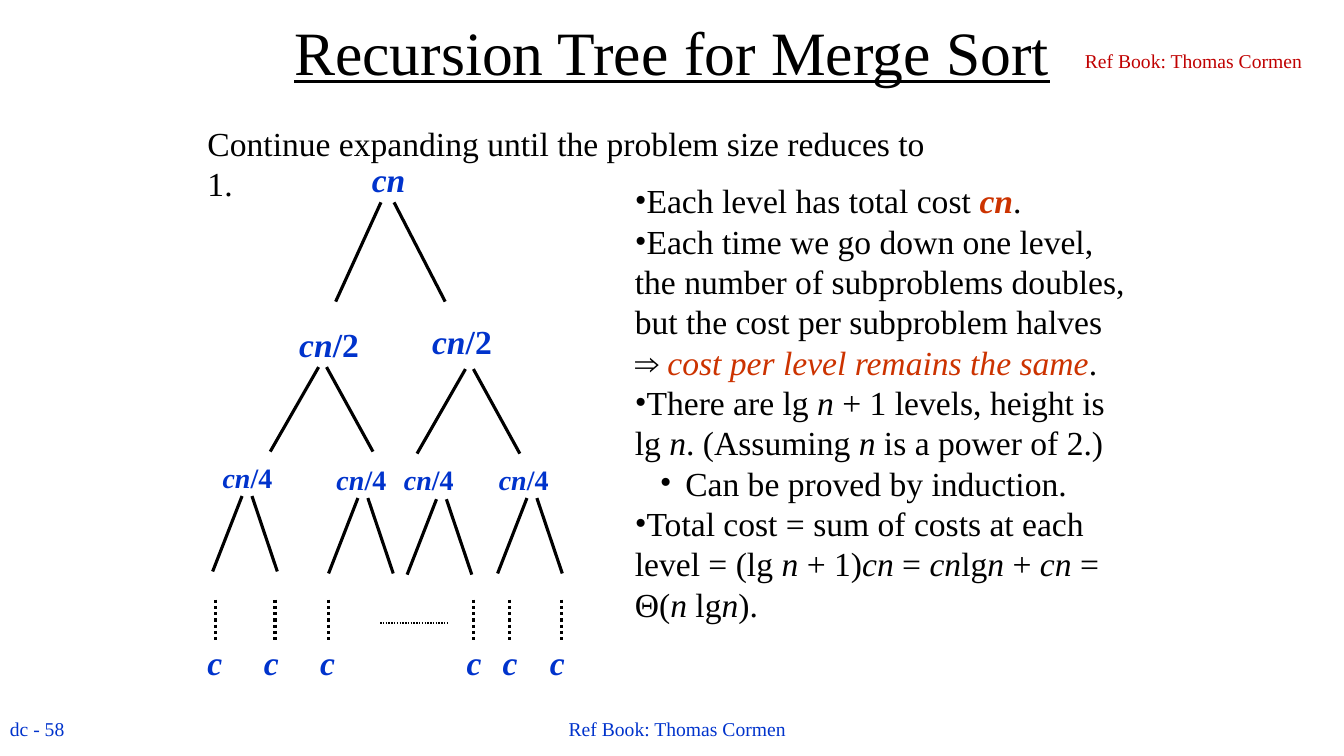
from pptx import Presentation
from pptx.dml.color import RGBColor
from pptx.enum.dml import MSO_LINE
from pptx.enum.shapes import MSO_CONNECTOR
from pptx.enum.text import MSO_ANCHOR, PP_ALIGN
from pptx.oxml.ns import qn
from pptx.util import Cm, Pt
from lxml.etree import SubElement

BLACK, BLUE, RED, DEEP = "000000", "0033CC", "CC3300", "C00000"

deck = Presentation()
deck.slide_width, deck.slide_height = Cm(33.87), Cm(19.05)
slide = deck.slides.add_slide(deck.slide_layouts[6])


def paint(color, code):
    color.rgb = RGBColor.from_string(code)


def write(text, left, top, width, height, size=24, color=BLACK, bold=False,
          line=False, wrap=True, align=PP_ALIGN.LEFT, anchor=MSO_ANCHOR.TOP):
    """Add a text box: newlines part paragraphs, asterisks enclose italics."""
    box = slide.shapes.add_textbox(Cm(left), Cm(top), Cm(width), Cm(height))
    frame = box.text_frame
    frame.word_wrap = wrap
    frame.vertical_anchor = anchor
    for row, words in enumerate(text.split("\n")):
        para = frame.add_paragraph() if row else frame.paragraphs[0]
        para.alignment = align
        for part, piece in enumerate(words.split("*")):
            if piece:
                run = para.add_run()
                run.text = piece
                font = run.font
                font.name, font.size = "Times New Roman", Pt(size)
                font.bold, font.underline = bold, line
                font.italic = part % 2 == 1
                paint(font.color, color)
    return frame


# Title, reference and footer
mid = MSO_ANCHOR.MIDDLE
write("Recursion Tree for Merge Sort", 0, 0, 33.87, 2.54, size=44, line=True,
      align=PP_ALIGN.CENTER, anchor=mid)
write("Ref Book: Thomas Cormen", 26.9, 0.84, 6.17, 1.37, size=14, color=DEEP,
      wrap=False, align=PP_ALIGN.RIGHT, anchor=mid)
write("Ref Book: Thomas Cormen", 13.54, 17.73, 7.06, 1.27, size=14, color=BLUE,
      wrap=False, align=PP_ALIGN.CENTER, anchor=mid)
write("dc - 58", 0, 17.93, 1.98, 0.86, size=14, color=BLUE, wrap=False)
write("Continue expanding until the problem size reduces to 1.", 4.98, 2.97, 19.1, 1.27)

# Tree levels: label, width, size, label spots, branch tops, gap, reach left and right, drop
levels = [
    ("*cn*", 1.6, 24, [(9.12, 3.89)], [(9.6, 5.1)], 0.33, 1.14, 1.62, 2.5),
    ("*cn*/2", 2.3, 24, [(7.29, 8.03), (10.64, 7.95)],
     [(8.03, 9.25), (11.73, 9.3)], 0.2, 1.22, 1.37, 2.13),
    ("*cn*/4", 2.1, 20, [(5.36, 11.48), (8.23, 11.53), (9.93, 11.53), (12.32, 11.53)],
     [(6.1, 12.5), (9.02, 12.55), (11, 12.58), (13.28, 12.55)], 0.25, 0.74, 0.89, 1.9),
]
lines = []
for label, width, size, spots, tops, gap, west, east, drop in levels:
    for left, top in spots:
        write(label, left, top, width, size * 0.05, size=size, color=BLUE, bold=True)
    for x, y in tops:
        lines.append((x, y, x - west, y + drop, 2.25, None))
        lines.append((x + gap, y, x + east, y + drop, 2.25, None))

# Leaves: a dotted stem above each label
dots = MSO_LINE.ROUND_DOT
leaves = [(5.44, 4.98), (6.93, 6.4), (8.28, 7.82), (11.94, 11.51), (12.85, 12.42), (14.15, 13.61)]
for x, left in leaves:
    lines.append((x, 15.11, x, 16.21, 2.25, dots))
    write("*c*", left, 16.05, 1, 1.27, color=BLUE, bold=True)
lines.append((9.58, 15.7, 11.3, 15.7, 1, dots))

for x, y, end, low, weight, dash in lines:
    link = slide.shapes.add_connector(MSO_CONNECTOR.STRAIGHT, Cm(x), Cm(y), Cm(end), Cm(low))
    paint(link.line.color, BLACK)
    link.line.width = Pt(weight)
    if dash:
        link.line.dash_style = dash
    SubElement(link._element.spPr, qn("a:effectLst"))

# Notes on the cost
notes = write(
    "Each level has total cost *cn*.\n"
    "Each time we go down one level, the number of subproblems doubles, "
    "but the cost per subproblem halves ⇒ *cost per level remains the same*.\n"
    "There are lg *n* + 1 levels, height is lg *n*. (Assuming *n* is a power of 2.)\n"
    "Can be proved by induction.\n"
    "Total cost = sum of costs at each level = (lg *n* + 1)*cn* = *cn*lg*n* + *cn* = Θ(*n *lg*n*).",
    15.75, 4.42, 12.85, 12.57)
for row, para in enumerate(notes.paragraphs):
    props = para._p.get_or_add_pPr()
    if row == 3:
        para.level = 1
        props.set("marL", str(Cm(1.27)))
        props.set("indent", str(Cm(-0.64)))
    SubElement(props, qn("a:buFont")).set("typeface", "Times New Roman")
    SubElement(props, qn("a:buChar")).set("char", "•")
for para in notes.paragraphs[:2]:
    paint(para.runs[1].font.color, RED)
notes.paragraphs[0].runs[1].font.bold = True

deck.save("out.pptx")
